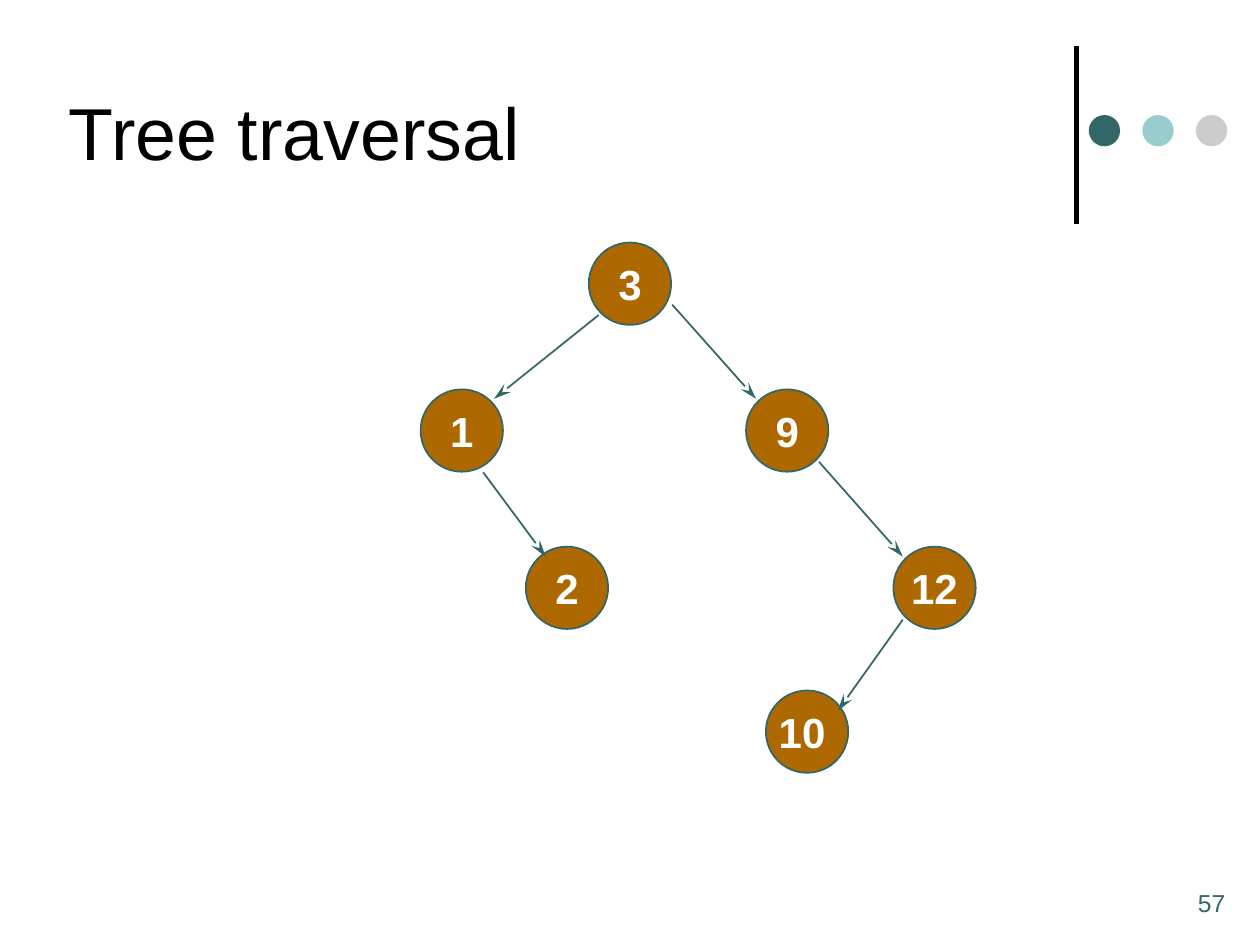
from lxml.etree import SubElement
from pptx import Presentation
from pptx.dml.color import RGBColor
from pptx.enum.shapes import MSO_CONNECTOR as Connector, MSO_SHAPE as Shape
from pptx.enum.text import MSO_ANCHOR as Anchor, MSO_AUTO_SIZE as AutoSize, PP_ALIGN as Align
from pptx.oxml.ns import qn
from pptx.util import Cm, Pt

COLORS = {
    "teal": "336666",
    "aqua": "99CCCC",
    "gray": "CCCCCC",
    "node": "AD6900",
    "white": "FFFFFF",
    "black": "000000",
}
NODE_SIZE = 1.66
NODES = [
    ("3", 11.87, 4.89, 0),
    ("1", 8.48, 7.85, 0),
    ("9", 15.04, 7.85, 0),
    ("12", 18.01, 11.02, 0),
    ("2", 10.6, 11.02, 0),
    ("10", 15.44, 13.92, -0.1),
]
EDGES = [
    ((12.07, 6.35), (9.96, 8.04)),
    ((13.55, 6.14), (15.24, 8.04)),
    ((16.51, 9.31), (18.2, 11.22)),
    ((9.74, 9.52), (11, 11.22)),
    ((18.2, 12.49), (16.89, 14.33)),
]


def color(name):
    """Return the named palette color."""
    return RGBColor.from_string(COLORS[name])


def add_circle(slide, left, top, size, fill, outline=None):
    """Add a filled circle, outlined when a color is given."""
    circle = slide.shapes.add_shape(Shape.OVAL, Cm(left), Cm(top), Cm(size), Cm(size))
    circle.shadow.inherit = False
    circle.fill.solid()
    circle.fill.fore_color.rgb = color(fill)
    if outline:
        circle.line.color.rgb = color(outline)
        circle.line.width = Pt(1)
    else:
        circle.line.fill.background()


def add_line(slide, start, end, ink, width, arrow=False):
    """Add a straight line, optionally ending in a long stealth arrowhead."""
    ends = [Cm(value) for value in (*start, *end)]
    line = slide.shapes.add_connector(Connector.STRAIGHT, *ends)
    line.line.color.rgb = color(ink)
    line.line.width = Pt(width)
    properties = line._element.spPr
    if arrow:
        SubElement(properties.find(qn("a:ln")), qn("a:tailEnd"),
                   type="stealth", w="med", len="lg")
    SubElement(properties, qn("a:effectLst"))


def add_text(slide, words, box, size, ink, bold=False, align=Align.LEFT, **frame_format):
    """Add a one-paragraph text box with the given frame settings."""
    frame = slide.shapes.add_textbox(*[Cm(value) for value in box]).text_frame
    for name, value in {"word_wrap": True, **frame_format}.items():
        setattr(frame, name, value)
    paragraph = frame.paragraphs[0]
    paragraph.alignment = align
    run = paragraph.add_run()
    run.text = words
    for name, value in {"name": "Arial", "size": Pt(size), "bold": bold}.items():
        setattr(run.font, name, value)
    run.font.color.rgb = color(ink)


def add_node(slide, key, left, top, shift):
    """Add a tree node with its key centered, moved sideways by shift."""
    add_circle(slide, left, top, NODE_SIZE, "node", "teal")
    width = 0.53 + 0.48 * len(key)
    label_left = left + (NODE_SIZE - width) / 2 + shift
    add_text(slide, key, (label_left, top + 0.2, width, 1.27), 24, "white", True,
             Align.CENTER, word_wrap=False, auto_size=AutoSize.SHAPE_TO_FIT_TEXT)


def add_ornament(slide):
    """Add the vertical rule and the row of three dots."""
    add_line(slide, (21.7, 4.52), (21.7, 0.92), "black", 3)
    for index, fill in enumerate(("teal", "aqua", "gray")):
        add_circle(slide, 21.95 + 1.08 * index, 2.32, 0.63, fill)


def main():
    """Build the tree traversal slide and save it."""
    deck = Presentation()
    deck.slide_width, deck.slide_height = Cm(25.4), Cm(19.05)
    slide = deck.slides.add_slide(deck.slide_layouts[6])
    add_ornament(slide)
    add_text(slide, "57", (23.9, 17.78, 1.5, 1.27), 14, "teal")
    add_text(slide, "Tree traversal", (1.14, 0.53, 19.48, 4.24), 42, "black",
             vertical_anchor=Anchor.MIDDLE)
    for node in NODES:
        add_node(slide, *node)
    for start, end in EDGES:
        add_line(slide, start, end, "teal", 1, arrow=True)
    deck.save("out.pptx")


if __name__ == "__main__":
    main()
